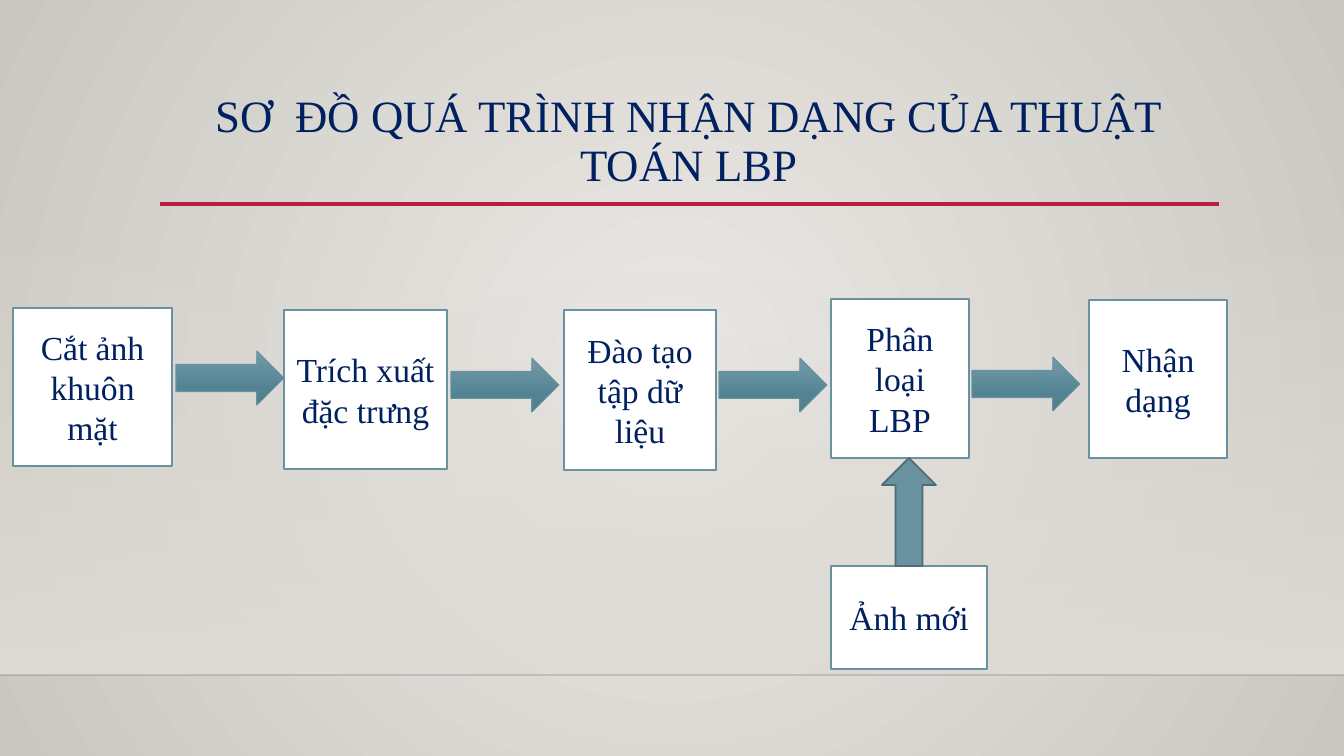
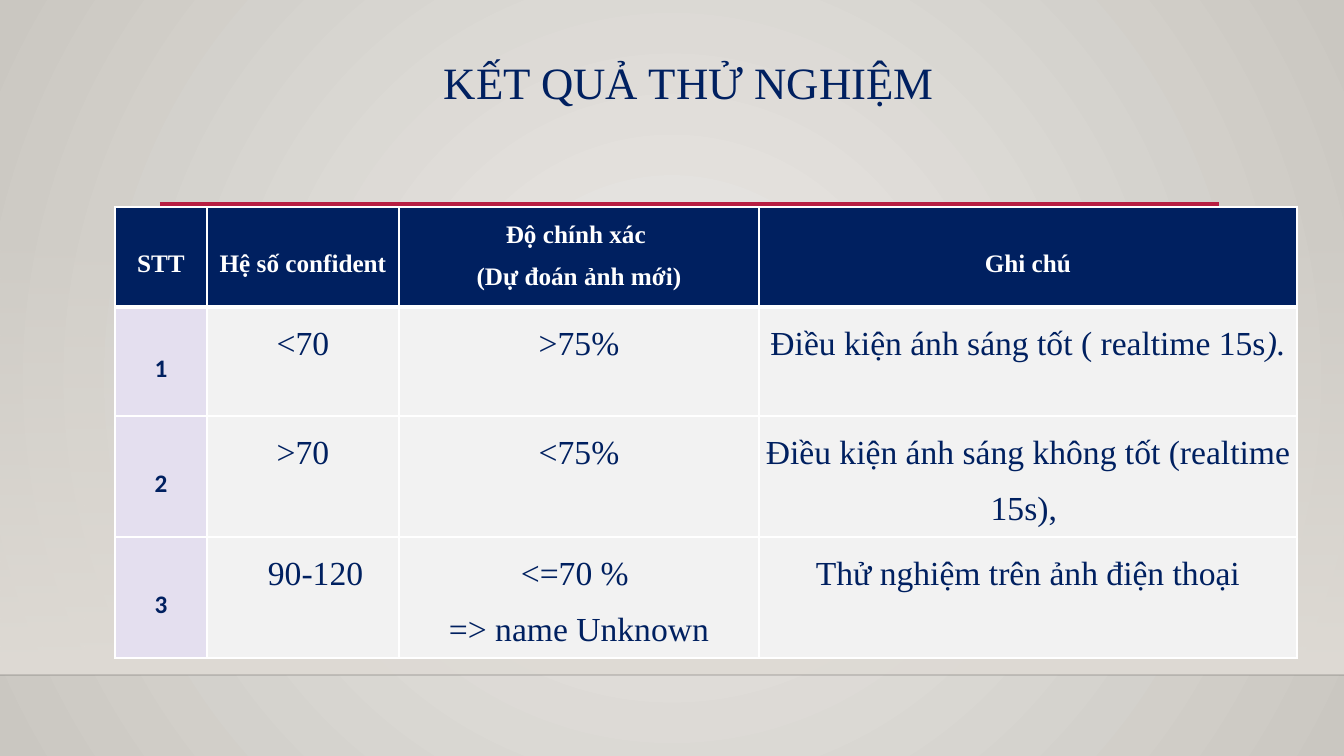
import pptx
import pptx.dml.color
import pptx.enum.shapes
import pptx.enum.text
import pptx.oxml
import pptx.oxml.ns
import pptx.util
import lxml.etree

SCALE = 12192000 / 1344
COLORS = {
    "navy": "002060", "white": "FFFFFF", "red": "B71E42", "floor": "000001",
    "teal": "6892A0", "teal_dark": "4D6C76", "lilac": "E4DFEF", "gray": "F2F2F2",
    "bg_center": "ECEAE7", "bg_edge": "CAC7C1", "wall": "DFDBD5",
    "arrow_top": "729BA9", "arrow_mid": "538393", "arrow_end": "4F7C8B",
}
SHAPES = pptx.enum.shapes.MSO_SHAPE
ANCHORS = pptx.enum.text.MSO_ANCHOR
CENTER = pptx.enum.text.PP_ALIGN.CENTER
SERIF = "Times New Roman"
NS = pptx.oxml.ns.nsdecls("a")
LINEAR = '<a:lin ang="5400000" scaled="0"/>'
RADIAL = ('<a:path path="circle"><a:fillToRect l="50000" t="50000" '
          'r="50000" b="50000"/></a:path>')


def px(n):
    return round(n * SCALE)


def rgb(name):
    return pptx.dml.color.RGBColor.from_string(COLORS[name])


def alpha(parent, percent):
    color = parent.find(".//" + pptx.oxml.ns.qn("a:srgbClr"))
    lxml.etree.SubElement(color, pptx.oxml.ns.qn("a:alpha")).set("val", str(percent * 1000))


class Deck:
    def __init__(self):
        self.prs = pptx.Presentation()
        self.prs.slide_width = px(1344)
        self.prs.slide_height = px(756)
        self.s = None

    def slide(self, title, top, height):
        self.s = self.prs.slides.add_slide(self.prs.slide_layouts[6])
        self.gradient(self.s.background.fill, self.s._element,
                      [(0, "bg_center"), (100, "bg_edge")], RADIAL)
        wall = self.shape(SHAPES.RECTANGLE, (0, 223, 1344, 452))
        self.gradient(wall.fill, wall._element, [(0, "wall"), (100, "wall")], LINEAR)
        alpha(wall._element, 0)
        floor = self.line(0, 1344, 675, "floor", 1)
        alpha(floor._element.spPr, 20)
        self.line(160, 1219, 204, "red", 2.5)
        tf = self.s.shapes.add_textbox(px(160), px(top), px(1058), px(height)).text_frame
        tf.word_wrap = True
        self.put_text(tf, title, 32, spacing=0.9)

    def gradient(self, fill, element, stops, shade):
        fill.gradient()
        old = element.find(".//" + pptx.oxml.ns.qn("a:gradFill"))
        marks = "".join(f'<a:gs pos="{pos * 1000}"><a:srgbClr val="{COLORS[c]}"/></a:gs>'
                        for pos, c in stops)
        new = pptx.oxml.parse_xml(
            f'<a:gradFill {NS} rotWithShape="1"><a:gsLst>{marks}</a:gsLst>{shade}</a:gradFill>')
        old.getparent().replace(old, new)

    def style(self, r, size, color="navy", bold=False, font=SERIF, italic=False):
        r.font.size = pptx.util.Pt(size)
        r.font.name = font
        r.font.bold = bold
        r.font.italic = italic
        r.font.color.rgb = rgb(color)

    def put_text(self, tf, text, size, spacing=1.0, **look):
        tf.text = text
        for p in tf.paragraphs:
            p.alignment = CENTER
            p.line_spacing = spacing
            for r in p.runs:
                self.style(r, size, **look)

    def line(self, x1, x2, y, color, width):
        ln = self.s.shapes.add_connector(
            pptx.enum.shapes.MSO_CONNECTOR.STRAIGHT, px(x1), px(y), px(x2), px(y))
        ln.line.color.rgb = rgb(color)
        ln.line.width = pptx.util.Pt(width)
        ln._element.spPr.append(pptx.oxml.parse_xml(f"<a:effectLst {NS}/>"))
        return ln

    def shape(self, kind, box, fill=None, line=None, width=1.25):
        sp = self.s.shapes.add_shape(kind, *map(px, box))
        sp.shadow.inherit = False
        if fill:
            sp.fill.solid()
            sp.fill.fore_color.rgb = rgb(fill)
        if line:
            sp.line.color.rgb = rgb(line)
            sp.line.width = pptx.util.Pt(width)
        else:
            sp.line.fill.background()
        return sp

    def step(self, text, *box):
        sp = self.shape(SHAPES.RECTANGLE, box, "white", "teal")
        sp.text_frame.word_wrap = True
        sp.text_frame.vertical_anchor = ANCHORS.MIDDLE
        self.put_text(sp.text_frame, text, 24)

    def arrow(self, x, y):
        sp = self.shape(SHAPES.RIGHT_ARROW, (x, y, 108, 54), line="teal", width=0.75)
        self.gradient(sp.fill, sp._element,
                      [(0, "arrow_top"), (69, "arrow_mid"), (100, "arrow_end")], LINEAR)

    def borders(self, cell, top, bottom):
        tcPr = cell._tc.get_or_add_tcPr()
        for i, (side, width) in enumerate(zip("LRTB", (1, 1, top, bottom))):
            tcPr.insert(i, pptx.oxml.parse_xml(
                f'<a:ln{side} {NS} w="{width * 12700}"><a:solidFill>'
                f'<a:srgbClr val="{COLORS["white"]}"/></a:solidFill></a:ln{side}>'))

    def table(self, x, y, widths, heights, rows):
        frame = self.s.shapes.add_table(len(rows), len(widths), px(x), px(y),
                                        px(sum(widths)), px(sum(heights)))
        tbl = frame.table
        tbl.first_row = tbl.horz_banding = False
        for col, width in zip(tbl.columns, widths):
            col.width = px(width)
        for i, (row, height) in enumerate(zip(rows, heights)):
            tbl.rows[i].height = px(height)
            for j, text in enumerate(row):
                cell = tbl.cell(i, j)
                cell.margin_left = cell.margin_right = px(3)
                cell.margin_top = cell.margin_bottom = 0
                if i == 0:
                    fill, size, look = "navy", 18, dict(color="white", bold=True)
                elif j == 0:
                    fill, size, look = "lilac", 18, dict(bold=True, font="Calibri")
                else:
                    fill, size, look = "gray", 24, {}
                cell.fill.solid()
                cell.fill.fore_color.rgb = rgb(fill)
                self.borders(cell, 3 if i == 1 else 1, 3 if i == 0 else 1)
                middle = j == 0 or (i == 0 and "\n" not in text)
                cell.vertical_anchor = ANCHORS.MIDDLE if middle else ANCHORS.TOP
                self.put_text(cell.text_frame, text, size, 1.5, **look)
        return tbl


def process_slide(deck):
    deck.slide("SƠ  ĐỒ QUÁ TRÌNH NHẬN DẠNG CỦA THUẬT TOÁN LBP", 89, 116)
    deck.step("Cắt ảnh khuôn mặt", 13, 308, 159, 158)
    deck.step("Trích xuất đặc trưng", 284, 310, 163, 159)
    deck.step("Đào tạo tập dữ liệu", 564, 310, 152, 160)
    deck.step("Phân loại LBP", 831, 299, 138, 159)
    deck.step("Nhận dạng", 1089, 300, 138, 158)
    deck.step("Ảnh mới", 831, 566, 156, 103)
    for x, y in ((176, 351), (451, 358), (719, 358), (972, 357)):
        deck.arrow(x, y)
    deck.shape(SHAPES.UP_ARROW, (882, 458, 54, 108), "teal", "teal_dark")


def results_slide(deck):
    deck.slide("KẾT QUẢ THỬ NGHIỆM", 56, 98)
    tbl = deck.table(115, 207, (92, 192, 360, 538), (100, 109, 113, 111), [
        ("STT", "Hệ số confident", "Độ chính xác \n(Dự đoán ảnh mới)", "Ghi chú"),
        ("1", "<70", ">75%", "Điều kiện ánh sáng tốt ( realtime 15s"),
        ("2", ">70", "<75%", "Điều kiện ánh sáng không tốt (realtime 15s), "),
        ("3", "90-120", "<=70 % \n=> name Unknown", "Thử nghiệm trên ảnh điện thoại"),
    ])
    r = tbl.cell(1, 3).text_frame.paragraphs[0].add_run()
    r.text = ")."
    deck.style(r, 24, italic=True)
    pPr = tbl.cell(3, 1).text_frame.paragraphs[0]._p.get_or_add_pPr()
    pPr.set("marL", str(px(25)))
    pPr.set("indent", "0")


def main():
    deck = Deck()
    process_slide(deck)
    results_slide(deck)
    deck.prs.save("out.pptx")


if __name__ == "__main__":
    main()
